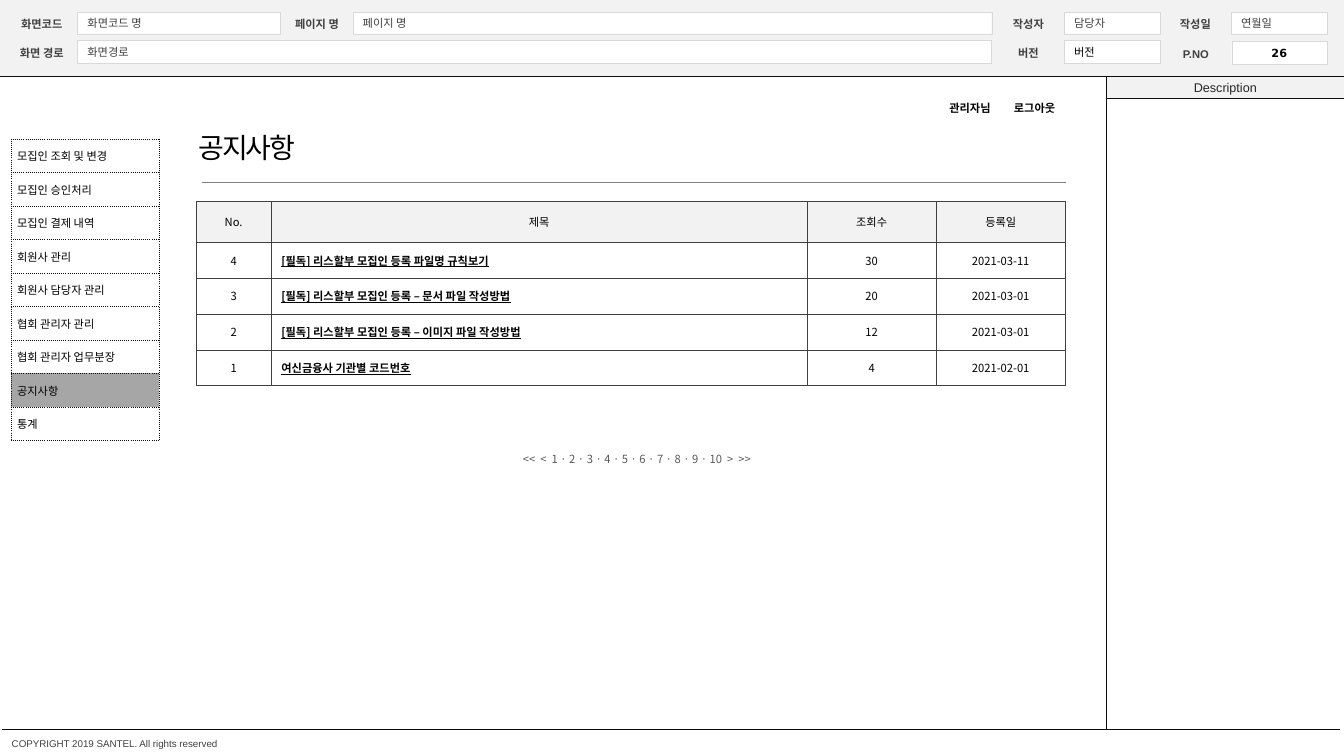
from dataclasses import dataclass

from lxml import etree
from pptx import Presentation
from pptx.dml.color import RGBColor
from pptx.enum.dml import MSO_LINE
from pptx.enum.shapes import MSO_CONNECTOR, MSO_SHAPE
from pptx.enum.text import MSO_ANCHOR, PP_ALIGN
from pptx.oxml.ns import qn
from pptx.util import Pt

LEFT, CENTER = PP_ALIGN.LEFT, PP_ALIGN.CENTER
TOP, MIDDLE = MSO_ANCHOR.TOP, MSO_ANCHOR.MIDDLE
RECTANGLE = MSO_SHAPE.RECTANGLE
STRAIGHT = MSO_CONNECTOR.STRAIGHT
DOTTED = MSO_LINE.ROUND_DOT


@dataclass(frozen=True)
class Theme:
    black: str = "000000"
    frame: str = "0D0D0D"
    heading: str = "262626"
    body: str = "404040"
    pager: str = "595959"
    rule: str = "808080"
    selected: str = "A6A6A6"
    field_edge: str = "D9D9D9"
    panel: str = "F2F2F2"
    white: str = "FFFFFF"
    latin: str = "Arial"
    korean: str = "Noto Sans CJK KR"
    digits: str = "DejaVu Sans"
    copyright_size: float = 7
    text_size: float = 8
    heading_size: float = 9
    title_size: float = 20


class Wireframe:
    def __init__(self, slide, theme):
        self.shapes = slide.shapes
        self.theme = theme

    def set_text(self, frame, text, size=None, color=None, font=None, bold=False,
                 underline=False, align=LEFT, anchor=TOP, tracking=0, leading=None):
        """Fill a text frame with one paragraph; tracking is in points."""
        frame.word_wrap = True
        frame.vertical_anchor = anchor
        paragraph = frame.paragraphs[0]
        paragraph.text = text
        paragraph.alignment = align
        if leading:
            paragraph.line_spacing = Pt(leading)
        style = paragraph.font
        style.size = Pt(size or self.theme.text_size)
        style.color.rgb = RGBColor.from_string(color or self.theme.black)
        style.name = font or self.theme.latin
        style.bold = bold
        style.underline = underline
        properties = paragraph._p.pPr.find(qn("a:defRPr"))
        etree.SubElement(properties, qn("a:ea"), typeface=self.theme.korean)
        if tracking:
            properties.set("spc", str(int(tracking * 100)))

    def margins(self, target, left, top, right, bottom):
        target.margin_left, target.margin_top = Pt(left), Pt(top)
        target.margin_right, target.margin_bottom = Pt(right), Pt(bottom)

    def text(self, x, y, width, height, text, inset=True, **style):
        frame = self.shapes.add_textbox(Pt(x), Pt(y), Pt(width), Pt(height)).text_frame
        if not inset:
            self.margins(frame, 0, 0, 0, 0)
        self.set_text(frame, text, **style)

    def box(self, x, y, width, height, fill, edge=None, text=None, **style):
        shape = self.shapes.add_shape(RECTANGLE, Pt(x), Pt(y), Pt(width), Pt(height))
        shape.shadow.inherit = False
        shape.fill.solid()
        shape.fill.fore_color.rgb = RGBColor.from_string(fill)
        if edge:
            shape.line.color.rgb = RGBColor.from_string(edge)
            shape.line.width = Pt(0.25)
        else:
            shape.line.fill.background()
        if text:
            self.margins(shape.text_frame, 7.2, 0, 7.2, 0)
            self.set_text(shape.text_frame, text, anchor=MIDDLE, **style)

    def line(self, x1, y1, x2, y2, color, weight=0.25, dash=None):
        connector = self.shapes.add_connector(STRAIGHT, Pt(x1), Pt(y1), Pt(x2), Pt(y2))
        connector.line.color.rgb = RGBColor.from_string(color)
        connector.line.width = Pt(weight)
        if dash:
            connector.line.dash_style = dash
        etree.SubElement(connector._element.spPr, qn("a:effectLst"))

    def field(self, x, y, width, label, value, label_width=51.1, **style):
        """A header input box with its bold label on the left."""
        self.text(x - label_width, y + 3.8, label_width, 9.6, label, inset=False,
                  color=self.theme.body, bold=True, align=CENTER)
        self.box(x, y, width, 16, self.theme.white, self.theme.field_edge, value, **style)

    def table(self, x, y, widths, heights):
        """Add a table without banding and return it."""
        table = self.shapes.add_table(len(heights), len(widths), Pt(x), Pt(y),
                                      Pt(sum(widths)), Pt(sum(heights))).table
        table.first_row = table.horz_banding = False
        for column, width in zip(table.columns, widths):
            column.width = Pt(width)
        for row, height in zip(table.rows, heights):
            row.height = Pt(height)
        return table

    def cell(self, cell, text, edge, weight, dash="solid", fill=None, **style):
        self.set_text(cell.text_frame, text, **style)
        cell.vertical_anchor = MIDDLE
        properties = cell._tc.get_or_add_tcPr()
        for side in ("lnL", "lnR", "lnT", "lnB"):
            border = etree.SubElement(properties, qn(f"a:{side}"), w=str(Pt(weight)))
            paint = etree.SubElement(border, qn("a:solidFill"))
            etree.SubElement(paint, qn("a:srgbClr"), val=edge)
            etree.SubElement(border, qn("a:prstDash"), val=dash)
        if fill:
            cell.fill.solid()
            cell.fill.fore_color.rgb = RGBColor.from_string(fill)
        else:
            cell.fill.background()


def draw_frame(page, theme):
    page.box(0, 0, 960, 54.4, theme.panel)
    first_row, second_row = 8.6, 29
    for x, y, width, label, value, color in (
        (55.4, first_row, 144.7, "화면코드", "화면코드 명", theme.body),
        (55.4, second_row, 653, "화면 경로", "화면경로", theme.body),
        (252, first_row, 456.4, "페이지 명", "페이지 명", theme.body),
        (760.2, first_row, 68.6, "작성자", "담당자", theme.body),
        (760.2, second_row, 68.6, "버전", "버전", theme.black),
        (879.4, first_row, 68.6, "작성일", "연월일", theme.body),
    ):
        page.field(x, y, width, label, value, color=color)
    page.field(879.8, second_row + 0.8, 68, "P.NO", "26", font=theme.digits,
               bold=True, align=CENTER)

    panel_left, header_bottom, footer_top = 790.4, 54.4, 520.8
    page.box(panel_left, header_bottom, 960 - panel_left, 15.6, theme.panel,
             text="Description", size=theme.heading_size, color=theme.heading, align=CENTER)
    for ends in (
        (0, header_bottom, 960, header_bottom),
        (panel_left, 70, 960, 70),
        (panel_left, header_bottom, panel_left, footer_top),
        (1.6, footer_top, 956.6, footer_top),
    ):
        page.line(*ends, theme.frame, dash=DOTTED)
    page.text(8.4, 527, 262.8, 8.6, "COPYRIGHT 2019 SANTEL. All rights reserved",
              inset=False, size=theme.copyright_size, color=theme.body)


def draw_menu(page, theme):
    current = "공지사항"
    entries = ("모집인 조회 및 변경", "모집인 승인처리", "모집인 결제 내역", "회원사 관리",
               "회원사 담당자 관리", "협회 관리자 관리", "협회 관리자 업무분장", current, "통계")
    menu = page.table(8, 99.2, [105.8], [23.95] * len(entries))
    for row, entry in enumerate(entries):
        cell = menu.cell(row, 0)
        page.margins(cell, 4.2, 1.4, 1.4, 1.4)
        page.cell(cell, entry, theme.frame, 0.5, "sysDot",
                  fill=theme.selected if entry == current else None)


def draw_notices(page, theme):
    page.text(134.6, 90, 216.7, 31.7, "공지사항", size=theme.title_size, tracking=-1.5)
    page.line(144, 130.2, 761.8, 130.2, theme.rule, 0.75)
    notices = (
        ("No.", "제목", "조회수", "등록일"),
        ("4", "[필독] 리스할부 모집인 등록 파일명 규칙보기", "30", "2021-03-11"),
        ("3", "[필독] 리스할부 모집인 등록 – 문서 파일 작성방법", "20", "2021-03-01"),
        ("2", "[필독] 리스할부 모집인 등록 – 이미지 파일 작성방법", "12", "2021-03-01"),
        ("1", "여신금융사 기관별 코드번호", "4", "2021-02-01"),
    )
    board = page.table(140, 143.8, [53.8, 382.8, 92.2, 92.2], [29.2] + [25.6] * 4)
    for row, notice in enumerate(notices):
        for column, value in enumerate(notice):
            is_link = row > 0 and column == 1
            page.cell(board.cell(row, column), value, theme.body, 0.25,
                      fill=theme.panel if row == 0 else None, font=theme.korean,
                      bold=is_link, underline=is_link, align=LEFT if is_link else CENTER)
    page.text(366.5, 317.5, 196.6, 19.4, "<<  <  1 · 2 · 3 · 4 · 5 · 6 · 7 · 8 · 9 · 10  >  >>",
              color=theme.pager, font=theme.korean, leading=12)
    for x, account_link in ((671, "관리자님"), (717.1, "로그아웃")):
        page.text(x, 69.1, 51.8, 17.3, account_link, font=theme.korean, bold=True)


def main():
    deck = Presentation()
    deck.slide_width, deck.slide_height = Pt(960), Pt(540)
    theme = Theme()
    page = Wireframe(deck.slides.add_slide(deck.slide_layouts[6]), theme)
    draw_frame(page, theme)
    draw_menu(page, theme)
    draw_notices(page, theme)
    deck.save("out.pptx")


if __name__ == "__main__":
    main()
